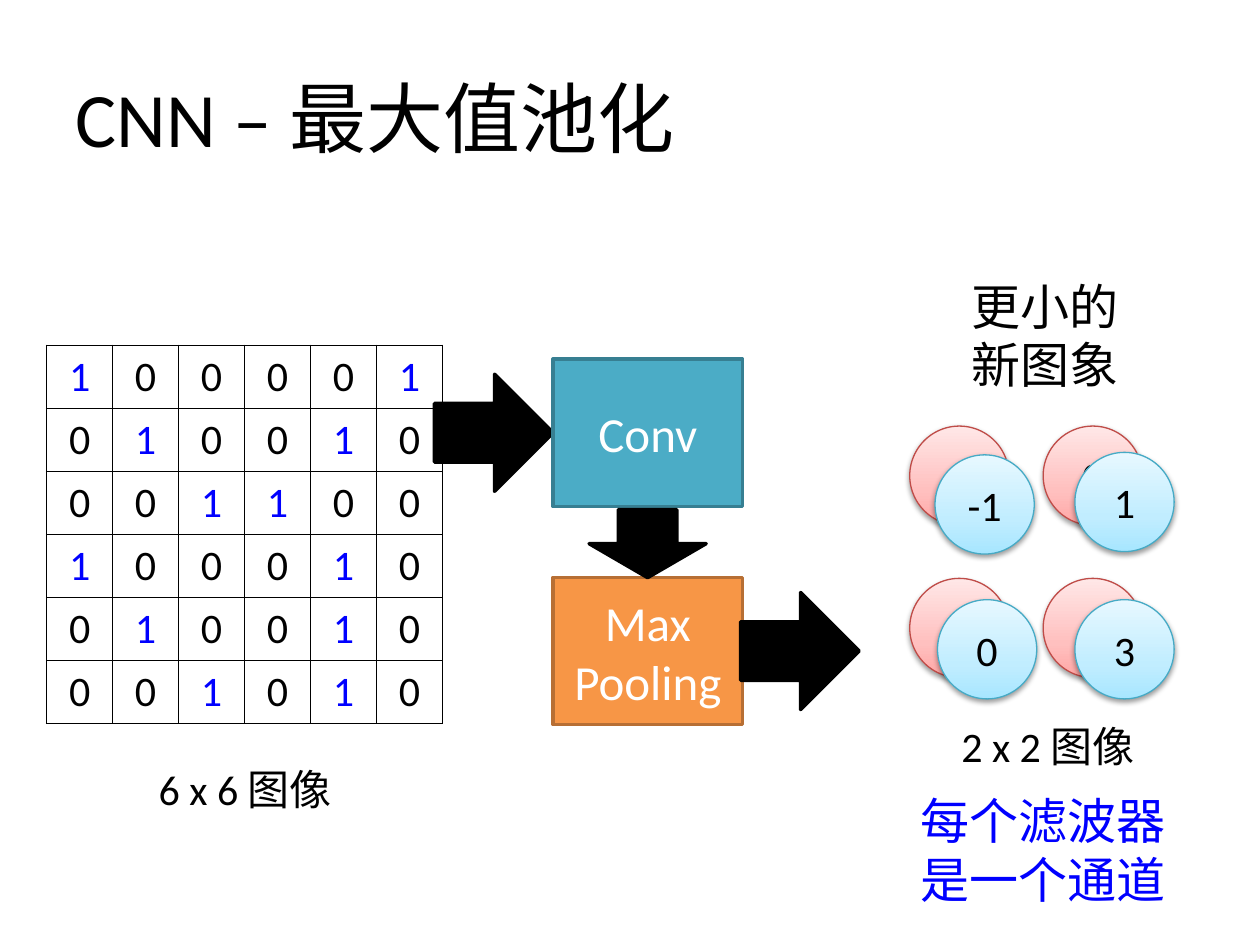
from lxml.etree import SubElement
from pptx import Presentation
from pptx.dml.color import RGBColor
from pptx.enum.shapes import MSO_SHAPE
from pptx.enum.text import MSO_ANCHOR, PP_ALIGN
from pptx.oxml import parse_xml
from pptx.oxml.ns import nsdecls, qn
from pptx.util import Cm, Pt

FONT = "Calibri"
BLACK, BLUE, WHITE = "000000", "0000FF", "FFFFFF"
RED_CIRCLE = (("FFA6A5", "FFC0BF", "FFE7E7"), "BF4C48")
BLUE_CIRCLE = (("A7E6FF", "C1EDFF", "E7F8FF"), "46AAC5")
PIXELS = ["100001", "010010", "001100", "100010", "010010", "001010"]


def color(value):
    return RGBColor.from_string(value)


def write(frame, text, size, ink=BLACK, align=PP_ALIGN.CENTER):
    frame.text = text
    for paragraph in frame.paragraphs:
        paragraph.alignment = align
        paragraph.font.name = FONT
        paragraph.font.size = Pt(size)
        paragraph.font.color.rgb = color(ink)


def add_text(slide, box, text, size, ink=BLACK, align=PP_ALIGN.CENTER):
    shape = slide.shapes.add_textbox(*map(Cm, box))
    shape.text_frame.word_wrap = True
    write(shape.text_frame, text, size, ink, align)
    return shape


def add_block(slide, kind, box, fill, line, text="", rotation=0):
    shape = slide.shapes.add_shape(kind, *map(Cm, box))
    shape.shadow.inherit = False
    shape.fill.solid()
    shape.fill.fore_color.rgb = color(fill)
    shape.line.color.rgb = color(line)
    shape.line.width = Pt(2)
    shape.rotation = rotation
    if text:
        shape.text_frame.vertical_anchor = MSO_ANCHOR.MIDDLE
        write(shape.text_frame, text, 28, WHITE)


def add_circle(slide, left, top, diameter, text, style):
    stops, line = style
    shape = slide.shapes.add_shape(
        MSO_SHAPE.OVAL, Cm(left), Cm(top), Cm(diameter), Cm(diameter))
    shape.line.color.rgb = color(line)
    shape.line.width = Pt(0.75)
    shape.text_frame.vertical_anchor = MSO_ANCHOR.MIDDLE
    write(shape.text_frame, text, 24)

    # Three-stop gradient, running upwards
    gradient = "".join(
        f'<a:gs pos="{position}"><a:srgbClr val="{stop}"/></a:gs>'
        for position, stop in zip((0, 35000, 100000), stops))
    properties = shape.element.spPr
    properties.find(qn("a:prstGeom")).addnext(parse_xml(
        f'<a:gradFill {nsdecls("a")} rotWithShape="1"><a:gsLst>{gradient}</a:gsLst>'
        '<a:lin ang="16200000" scaled="0"/></a:gradFill>'))

    # Soft shadow below
    properties.append(parse_xml(
        f'<a:effectLst {nsdecls("a")}><a:outerShdw blurRad="{Pt(3.1)}" '
        f'dist="{Pt(1.6)}" dir="5400000" rotWithShape="0"><a:srgbClr val="{BLACK}">'
        '<a:alpha val="38000"/></a:srgbClr></a:outerShdw></a:effectLst>'))


def add_cell_borders(cell):
    properties = cell._tc.get_or_add_tcPr()
    for index, side in enumerate(("a:lnL", "a:lnR", "a:lnT", "a:lnB")):
        line = properties.makeelement(qn(side), {"w": str(Pt(1))})
        fill = SubElement(line, qn("a:solidFill"))
        SubElement(fill, qn("a:srgbClr"), val=BLACK)
        properties.insert(index, line)


def add_title(slide, box):
    shape = add_text(slide, box, "CNN – 最大值池化", 44, align=PP_ALIGN.LEFT)
    shape.text_frame.vertical_anchor = MSO_ANCHOR.MIDDLE


def add_input_image(slide, box):
    left, top, width, height = box
    count = len(PIXELS)
    table = slide.shapes.add_table(count, count, *map(Cm, box)).table
    table.first_row = table.horz_banding = False
    for row_index, row in enumerate(PIXELS):
        table.rows[row_index].height = Cm(height / count)
        table.columns[row_index].width = Cm(width / count)
        for column_index, pixel in enumerate(row):
            cell = table.cell(row_index, column_index)
            cell.fill.background()
            write(cell.text_frame, pixel, 24, BLUE if pixel == "1" else BLACK)
            add_cell_borders(cell)
    add_text(slide, (left + 0.74, top + 8.31, 6.53, 1.27), "6 x 6 图像", 24)


def add_layers(slide, box):
    left, top, width, height = box
    block_left, block_width, block_height = left + 2.39, 3.82, 2.97
    pooling_top = top + height - block_height
    arrow_width, arrow_height = 2.39, 2.36
    arrow_offset = (block_height - arrow_height) / 2

    def add_arrow(arrow_box, rotation=0):
        add_block(slide, MSO_SHAPE.RIGHT_ARROW, arrow_box, BLACK, BLACK,
                  rotation=rotation)

    add_arrow((left, top + arrow_offset, arrow_width, arrow_height))
    add_block(slide, MSO_SHAPE.RECTANGLE,
              (block_left, top, block_width, block_height),
              "4BACC6", "377F92", "Conv")
    add_block(slide, MSO_SHAPE.RECTANGLE,
              (block_left, pooling_top, block_width, block_height),
              "F79646", "B76F34", "Max\nPooling")
    add_arrow((left + width - arrow_width, pooling_top + arrow_offset,
               arrow_width, arrow_height))
    # Downward arrow between the two layers
    add_arrow((block_left + 1.22, top + 2.54, 1.37, arrow_height), 90)


def add_output_image(slide, box):
    left, top, width, height = box
    diameter = 2
    red = [(0.48, 3.15, "3"), (3.17, 3.15, "0"),
           (3.17, 6.22, "1"), (0.48, 6.22, "3")]
    blue = [(0.99, 3.73, "-1"), (3.81, 3.68, "1"),
            (3.81, 6.65, "3"), (1.04, 6.65, "0")]
    for circles, style in ((red, RED_CIRCLE), (blue, BLUE_CIRCLE)):
        for x, y, value in circles:
            add_circle(slide, left + x, top + y, diameter, value, style)

    # Heading and captions
    add_text(slide, (left + 0.99, top, 4.44, 2.64), "更小的新图象", 28)
    add_text(slide, (left, top + 8.96, width, 1.27), "2 x 2 图像", 24)
    add_text(slide, (left + 0.02, top + height - 2.64, 6.3, 2.64),
             "每个滤波器是一个通道", 28, BLUE)


def main():
    presentation = Presentation()
    presentation.slide_width, presentation.slide_height = Cm(25.4), Cm(19.05)
    slide = presentation.slides.add_slide(presentation.slide_layouts[6])
    add_title(slide, (1.27, 0.76, 22.86, 3.18))
    add_input_image(slide, (0.94, 6.96, 7.98, 7.62))
    add_output_image(slide, (17.86, 5.44, 6.53, 13.02))
    add_layers(slide, (8.76, 7.24, 8.56, 7.37))
    presentation.save("out.pptx")


if __name__ == "__main__":
    main()
